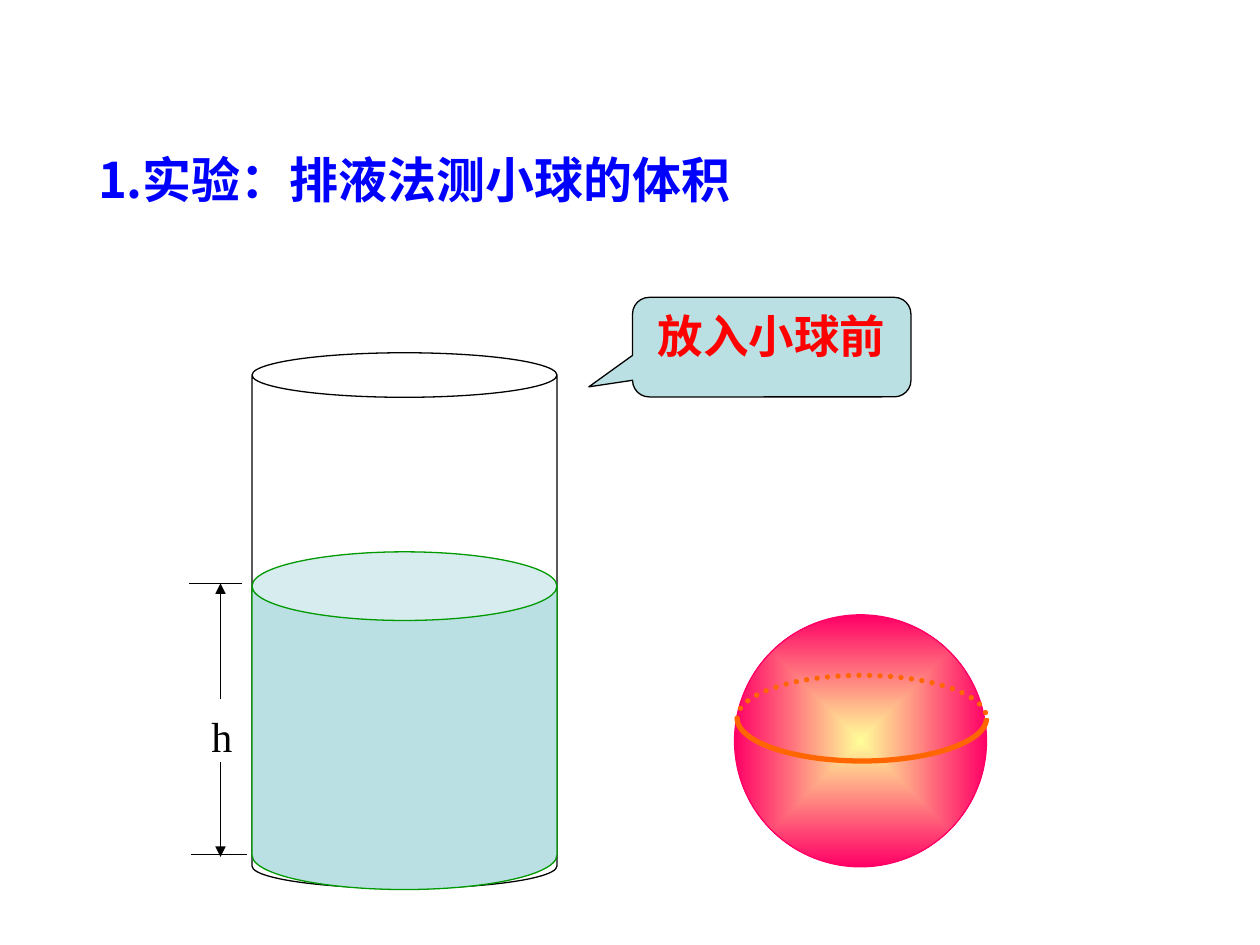
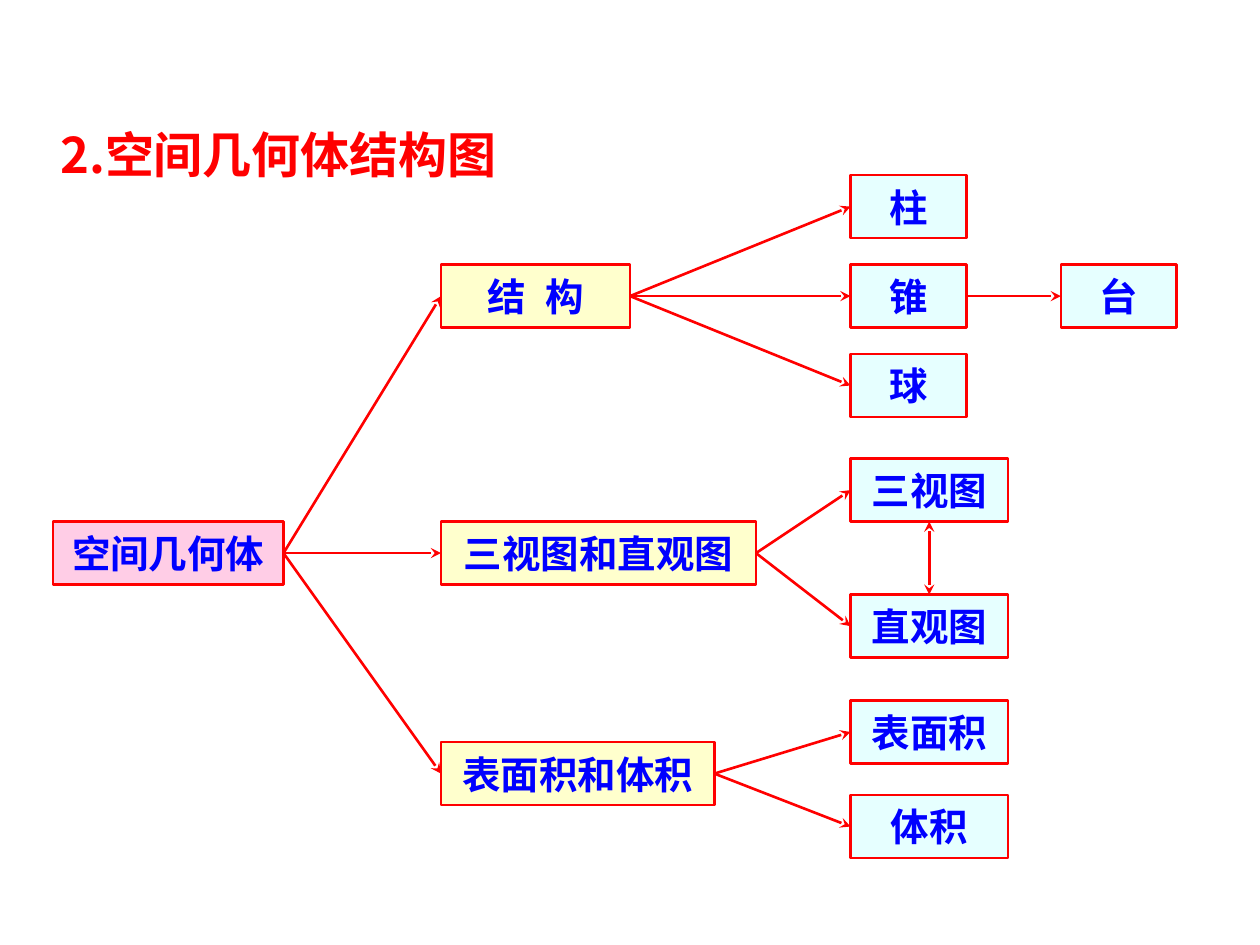
from lxml.etree import SubElement
from pptx import Presentation
from pptx.dml.color import RGBColor
from pptx.enum.dml import MSO_LINE
from pptx.enum.shapes import MSO_CONNECTOR, MSO_SHAPE
from pptx.enum.text import MSO_ANCHOR, PP_ALIGN
from pptx.oxml.ns import qn
from pptx.util import Inches, Pt

HUES = {
    "black": "000000", "white": "FFFFFF", "blue": "0000FF", "red": "FF0000",
    "water": "BBE0E3", "green": "009900", "core": "FFFF99", "rose": "FF0066",
    "orange": "FF6600", "pink": "FF99CC", "cream": "FFFF99", "ice": "CCFFFF",
}
CJK = "Noto Sans CJK SC"

TITLES = [
    ("1.实验：排液法测小球的体积", (0.68, 1.14, 6.08, 0.57), "blue"),
    ("2.空间几何体结构图", (0.38, 0.94, 5.37, 0.57), "red"),
]

CANS = [
    ((2, 2.8, 2.42, 4.25), 0.146, "white", "black"),
    ((2, 4.38, 2.42, 2.68), 0.225, "water", "green"),
]
BALL = (5.83, 4.88, 2, 2)
RING = (5.85, 5.36, 1.98, 0.68)
CALL = ("放入小球前", (5.02, 2.36, 2.21, 0.79), (-0.657, 0.399, 0.167))
TICKS = [((1.52, 6.78), (1.96, 6.78)), ((1.5, 4.63), (1.92, 4.63))]
SPANS = [((1.75, 5.55), (1.75, 4.63)), ((1.75, 6.05), (1.75, 6.8))]
MARK = ("h", (1.58, 5.59, 0.33, 0.5))

COLS = [(0.42, "pink"), (3.5, "cream"), (6.75, "ice"), (8.42, "ice")]
TALL = 0.5
BOXES = [
    ("空间几何体", 0, 4.14, 1.83),
    ("结 构", 1, 2.1, 1.5),
    ("三视图和直观图", 1, 4.14, 2.5),
    ("表面积和体积", 1, 5.89, 2.17),
    ("柱", 2, 1.39, 0.92),
    ("锥", 2, 2.1, 0.92),
    ("球", 2, 2.81, 0.92),
    ("三视图", 2, 3.64, 1.25),
    ("直观图", 2, 4.72, 1.25),
    ("表面积", 2, 5.56, 1.25),
    ("体积", 2, 6.31, 1.25),
    ("台", 3, 2.1, 0.92),
]
TREE = {
    "空间几何体": ["结 构", "三视图和直观图", "表面积和体积"],
    "结 构": ["柱", "锥", "球"],
    "三视图和直观图": ["三视图", "直观图"],
    "表面积和体积": ["表面积", "体积"],
    "锥": ["台"],
}
PAIR = ("三视图", "直观图")


def hue(name):
    return RGBColor.from_string(HUES[name])


def write(frame, text, size, tint, font="Arial", bold=True, align=None):
    para = frame.paragraphs[0]
    para.alignment = align
    for part in text.replace(" ", "| |").split("|"):
        run = para.add_run()
        run.text = part
        run.font.size = Pt(size)
        run.font.bold = bold
        run.font.name = font
        run.font.color.rgb = hue(tint)
        props = run.font._element
        SubElement(props, qn("a:ea")).set("typeface", CJK)
        if part == " ":
            props.set("spc", "600")


def label(slide, text, place, *style):
    box = slide.shapes.add_textbox(*map(Inches, place))
    box.text_frame.word_wrap = True
    write(box.text_frame, text, *style)


def draw(slide, kind, place, fill, edge, width=0.75, knobs=()):
    shape = slide.shapes.add_shape(kind, *map(Inches, place))
    shape.shadow.inherit = False
    for i, knob in enumerate(knobs):
        shape.adjustments[i] = knob
    if fill:
        shape.fill.solid()
        shape.fill.fore_color.rgb = hue(fill)
    else:
        shape.fill.background()
    shape.line.color.rgb = hue(edge)
    shape.line.width = Pt(width)
    return shape


def link(slide, start, end, tint, width, head=None, tail=None):
    wire = slide.shapes.add_connector(
        MSO_CONNECTOR.STRAIGHT, *map(Inches, start + end))
    wire.line.color.rgb = hue(tint)
    wire.line.width = Pt(width)
    ln = wire.line._get_or_add_ln()
    for tag, tip in (("a:headEnd", head), ("a:tailEnd", tail)):
        if tip:
            SubElement(ln, qn(tag)).set("type", tip)
    SubElement(wire._element.spPr, qn("a:effectLst"))
    return wire


def join(slide, first, out, last, into, head=None):
    wire = link(slide, (0, 0), (1, 1), "red", 1.5, head, "stealth")
    wire.begin_connect(first, out)
    wire.end_connect(last, into)


def glow(shape):
    shape.fill.gradient()
    for stop, name in zip(shape.fill.gradient_stops, ("core", "rose")):
        stop.color.rgb = hue(name)
    grad = shape._element.spPr.find(qn("a:gradFill"))
    grad.remove(grad.find(qn("a:lin")))
    way = SubElement(grad, qn("a:path"))
    way.set("path", "rect")
    rect = SubElement(way, qn("a:fillToRect"))
    for side in "ltrb":
        rect.set(side, "50000")


def test(slide):
    for place, lid, fill, edge in CANS:
        draw(slide, MSO_SHAPE.CAN, place, fill, edge, knobs=[lid])
    glow(draw(slide, MSO_SHAPE.OVAL, BALL, "rose", "rose"))
    for start, end in TICKS:
        link(slide, start, end, "black", 0.75)
    for start, end in SPANS:
        link(slide, start, end, "black", 0.75, tail="triangle")
    label(slide, *MARK, 24, "black", "Times New Roman", False)
    text, place, knobs = CALL
    call = draw(slide, MSO_SHAPE.ROUNDED_RECTANGULAR_CALLOUT, place,
                "water", "black", knobs=knobs)
    call.text_frame.vertical_anchor = MSO_ANCHOR.TOP
    write(call.text_frame, text, 26, "red", align=PP_ALIGN.CENTER)
    draw(slide, MSO_SHAPE.ARC, RING, None, "orange", 3, (0, 108))
    back = draw(slide, MSO_SHAPE.ARC, RING, None, "orange", 3, (108, 0))
    back.line.dash_style = MSO_LINE.ROUND_DOT
    back.line._get_or_add_ln().set("cap", "rnd")


def chart(slide):
    nodes = {}
    for text, col, top, wide in BOXES:
        left, fill = COLS[col]
        node = draw(slide, MSO_SHAPE.RECTANGLE, (left, top, wide, TALL),
                    fill, "red", 1.5)
        tone = node._element.spPr.find(qn("a:solidFill"))[0]
        SubElement(tone, qn("a:alpha")).set("val", "49000")
        node.text_frame.word_wrap = False
        node.text_frame.vertical_anchor = MSO_ANCHOR.MIDDLE
        write(node.text_frame, text, 22, "blue", align=PP_ALIGN.CENTER)
        nodes[text] = node
    for root, twigs in TREE.items():
        for twig in twigs:
            join(slide, nodes[root], 3, nodes[twig], 1)
    upper, lower = PAIR
    join(slide, nodes[upper], 2, nodes[lower], 0, "stealth")


def main():
    deck = Presentation()
    deck.slide_width, deck.slide_height = Inches(10), Inches(7.5)
    for (text, place, tint), fill in zip(TITLES, (test, chart)):
        slide = deck.slides.add_slide(deck.slide_layouts[6])
        fill(slide)
        label(slide, text, place, 28, tint, CJK)
    deck.save("out.pptx")


if __name__ == "__main__":
    main()
